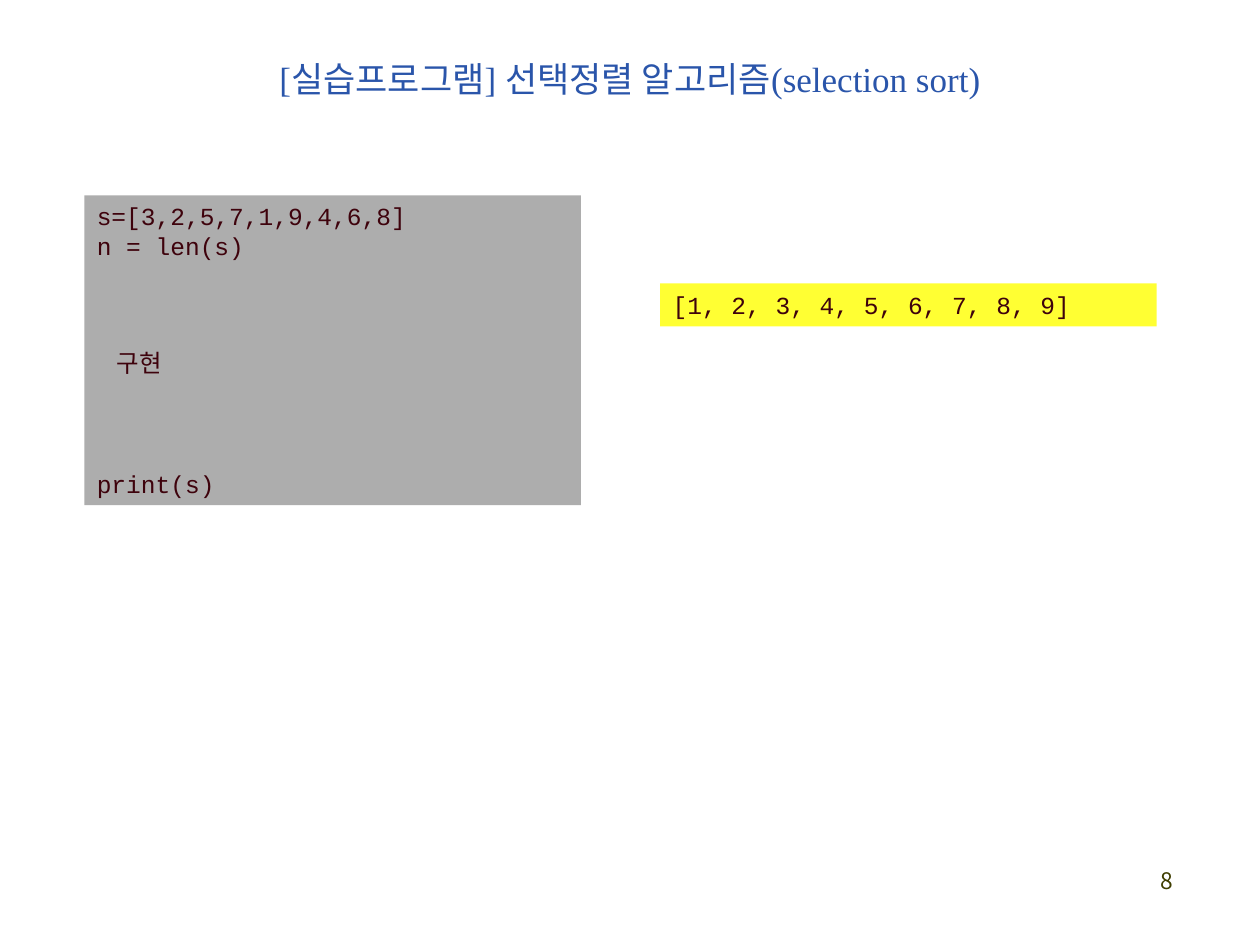
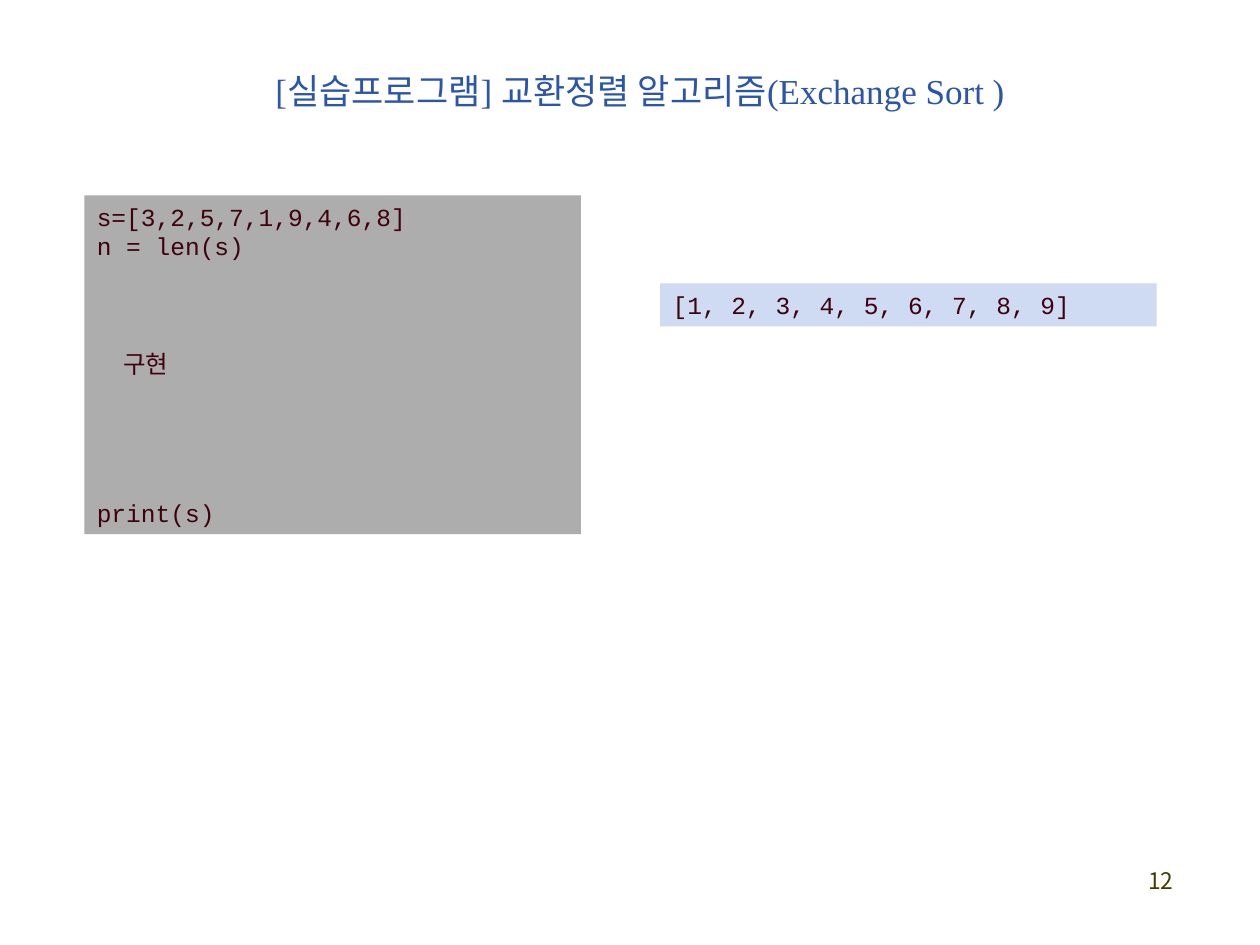
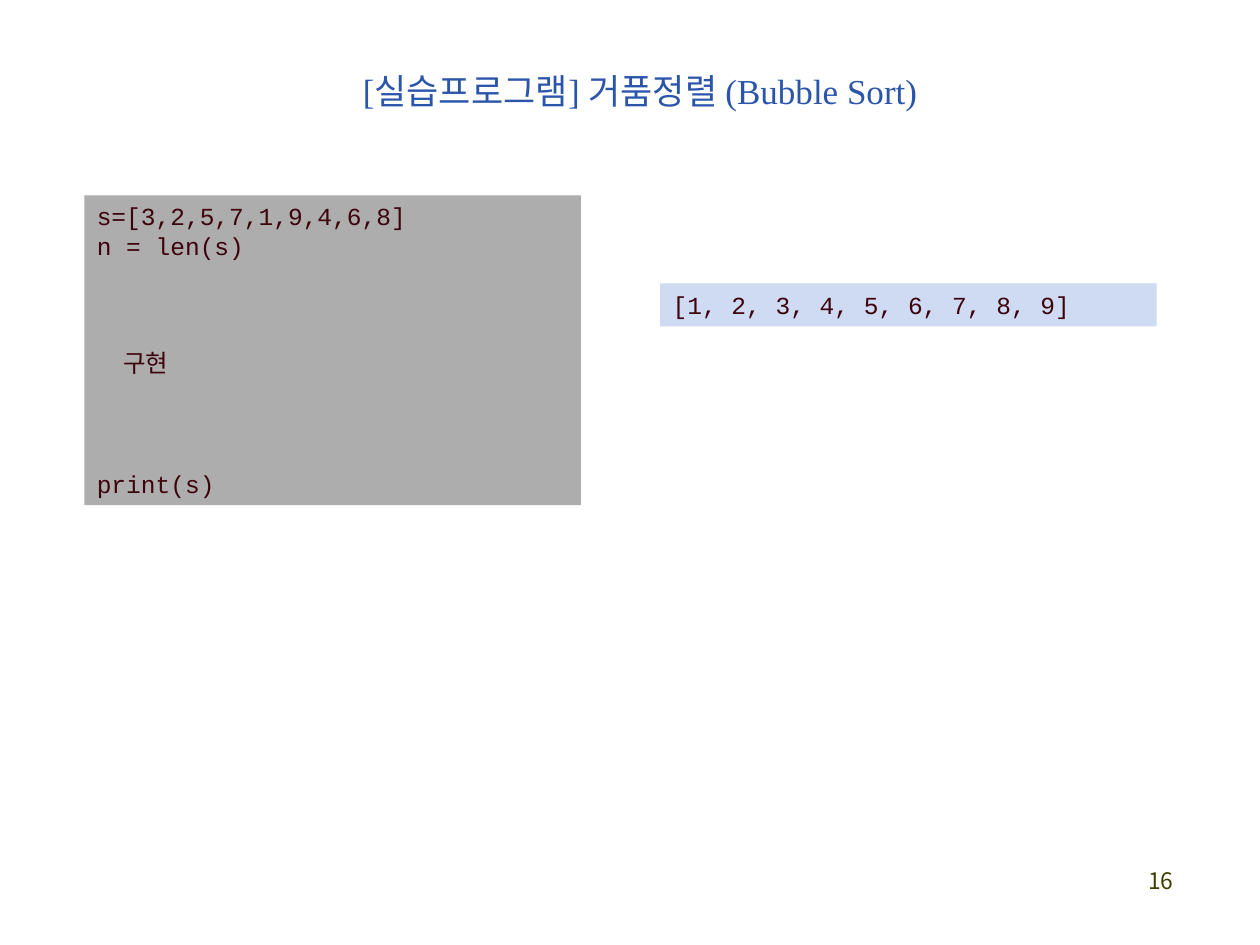
"""Build three sorting-algorithm practice slides."""
from dataclasses import dataclass

from lxml.etree import SubElement
from pptx import Presentation
from pptx.dml.color import RGBColor as RGB
from pptx.enum.shapes import MSO_SHAPE as SHAPE
from pptx.enum.text import MSO_ANCHOR as ANCHOR, MSO_AUTO_SIZE as AUTO, PP_ALIGN as ALIGN
from pptx.oxml.ns import qn
from pptx.util import Inches, Pt


@dataclass(frozen=True)
class Theme:
    title_font: str = "Times New Roman"
    code_font: str = "Courier New"
    korean_font: str = "Noto Sans CJK KR"
    title_size: float = 20
    code_size: float = 14
    number_size: float = 13
    code_line: float = 16.8
    title_color: str = "2A55AA"
    code_color: str = "3E020C"
    number_color: str = "3F3E00"
    code_fill: str = "ADADAD"
    yellow: str = "FFFF33"
    pale_blue: str = "CFDBF3"


class Deck:
    def __init__(self, theme):
        self.theme = theme
        self.prs = Presentation()
        self.prs.slide_width, self.prs.slide_height = Inches(10), Inches(7.5)
        self.s = None

    def add_slide(self):
        self.s = self.prs.slides.add_slide(self.prs.slide_layouts[5])

    def style(self, p, font, size, color, align=ALIGN.LEFT):
        p.alignment = align
        p.font.name, p.font.size = font, Pt(size)
        p.font.color.rgb = RGB.from_string(color)
        ea = SubElement(p.font._element, qn("a:ea"))
        ea.set("typeface", self.theme.korean_font)

    def title(self, text, top, left, height):
        t = self.theme
        sp = self.s.shapes.title
        sp.left, sp.top = Inches(left), Inches(top)
        sp.width, sp.height = Inches(8.5), Inches(height)
        tf = sp.text_frame
        tf.text = text
        tf.vertical_anchor = ANCHOR.MIDDLE
        tf.auto_size = AUTO.NONE
        self.style(tf.paragraphs[0], t.title_font, t.title_size, t.title_color, ALIGN.CENTER)

    def code(self, lines, left, top, height, fill):
        """Draw a filled code box; each line is (text, gap lines before, indent)."""
        t = self.theme
        sp = self.s.shapes.add_shape(
            SHAPE.RECTANGLE, Inches(left), Inches(top), Inches(3.94), Inches(height))
        sp.shadow.inherit = False
        sp.fill.solid()
        sp.fill.fore_color.rgb = RGB.from_string(fill)
        sp.line.fill.background()
        tf = sp.text_frame
        tf.word_wrap = True
        tf.auto_size = AUTO.SHAPE_TO_FIT_TEXT
        tf.vertical_anchor = ANCHOR.TOP
        for i, (text, gap, indent) in enumerate(lines):
            p = tf.add_paragraph() if i else tf.paragraphs[0]
            p.text = text
            p.line_spacing = Pt(t.code_line)
            if gap:
                p.space_before = Pt(gap * t.code_line)
            if indent:
                p._p.get_or_add_pPr().set("marL", str(Inches(indent)))
            self.style(p, t.code_font, t.code_size, t.code_color)

    def number(self, number):
        t = self.theme
        sp = self.s.shapes.add_textbox(Inches(7.33), Inches(6.83), Inches(2.08), Inches(0.5))
        tf = sp.text_frame
        tf.word_wrap = True
        tf.text = str(number)
        self.style(tf.paragraphs[0], t.korean_font, t.number_size, t.number_color, ALIGN.RIGHT)


def main():
    theme = Theme()
    deck = Deck(theme)
    low_title = (0.34, 0.83, 0.75)
    slides = [
        ("선택정렬 알고리즘(selection sort)", (0, 0.75, 1.25), 8, 0.16, 3, 2.46, theme.yellow),
        ("교환정렬 알고리즘(Exchange Sort )", low_title, 12, 0.21, 4, 2.69, theme.pale_blue),
        ("거품정렬 (Bubble Sort)", low_title, 16, 0.21, 3, 2.46, theme.pale_blue),
    ]
    for name, title_place, number, indent, gap, height, result_fill in slides:
        deck.add_slide()
        deck.title(f"[실습프로그램] {name}", *title_place)
        deck.number(number)
        program = [
            ("s=[3,2,5,7,1,9,4,6,8]", 0, 0),
            ("n = len(s)", 0, 0),
            ("구현", 3, indent),
            ("print(s)", gap + 0.1, 0),
        ]
        deck.code(program, 0.67, 1.55, height, theme.code_fill)
        deck.code([("[1, 2, 3, 4, 5, 6, 7, 8, 9]", 0, 0)], 5.24, 2.25, 0.34, result_fill)
    deck.prs.save("out.pptx")


if __name__ == "__main__":
    main()
